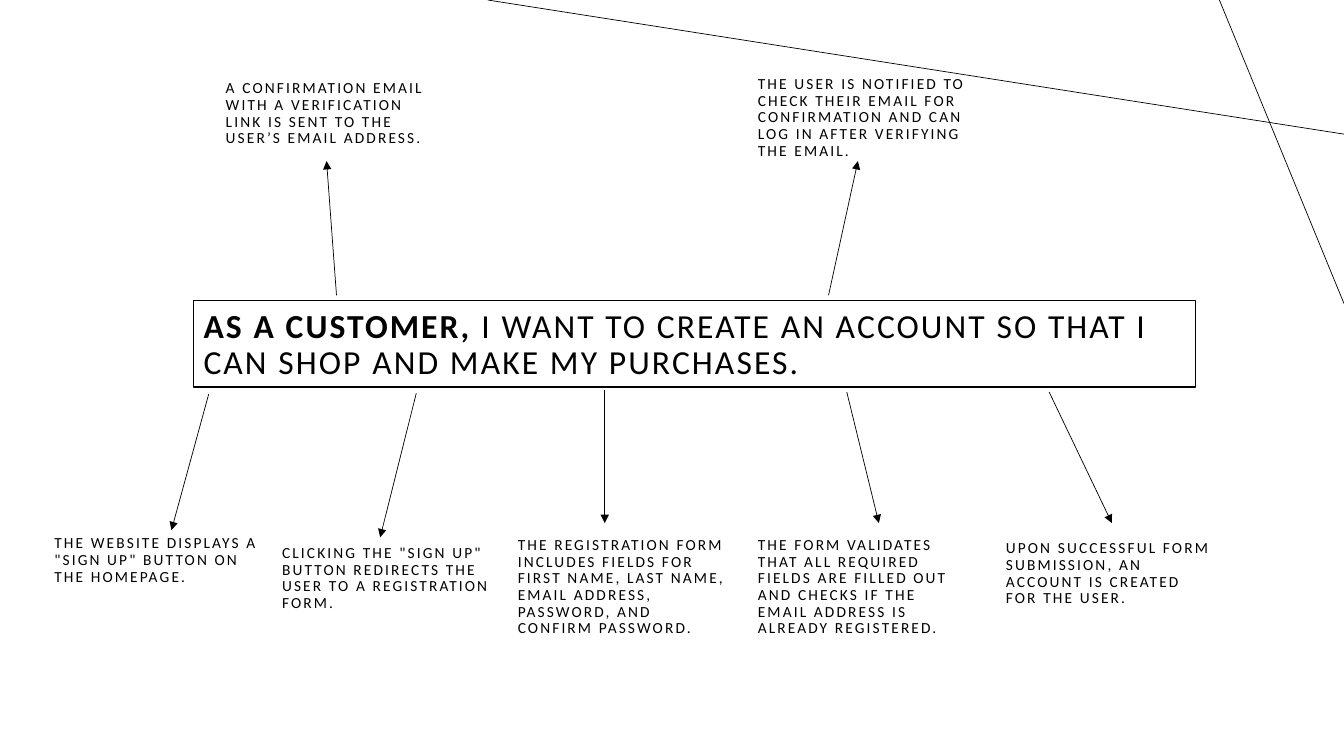
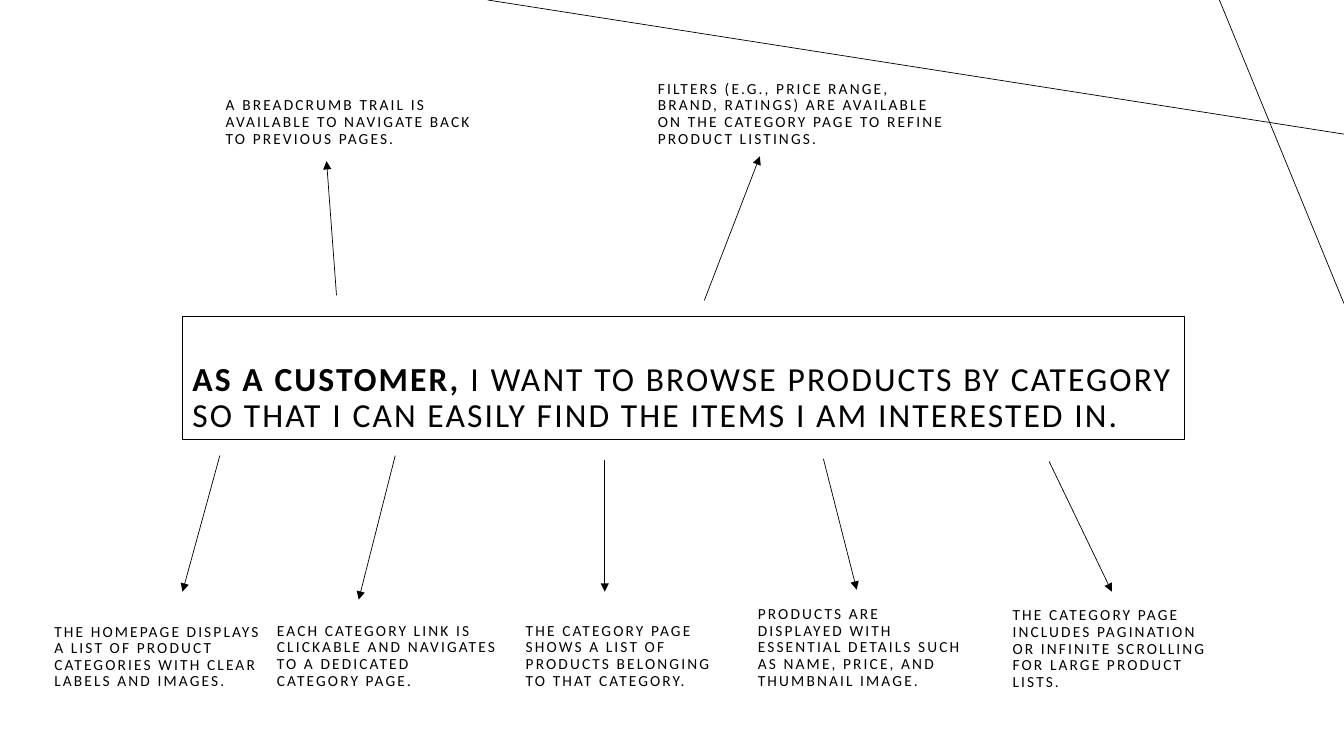
import pptx
import pptx.dml.color
import pptx.enum.shapes
import pptx.enum.text
import pptx.oxml.ns
import pptx.util
from lxml import etree

Cm = pptx.util.Cm
Pt = pptx.util.Pt

STORIES = [
    {
        "role": "AS A CUSTOMER, ",
        "wish": "I WANT TO CREATE AN ACCOUNT SO THAT I CAN SHOP AND MAKE MY PURCHASES.",
        "frame": (4.88, 7.57, 25.25, 2.18),
        "criteria": [
            ('THE WEBSITE DISPLAYS A "SIGN UP" BUTTON ON THE HOMEPAGE.',
             (1.12, 13.36, 5.84, 1.52), (5.26, 9.93, 4.32, 13.36)),
            ('CLICKING THE "SIGN UP" BUTTON REDIRECTS THE USER TO A REGISTRATION FORM.',
             (6.86, 13.56, 5.84, 1.98), (10.49, 9.91, 9.58, 13.54)),
            ("THE REGISTRATION FORM INCLUDES FIELDS FOR FIRST NAME, LAST NAME, "
             "EMAIL ADDRESS, PASSWORD, AND CONFIRM PASSWORD.",
             (12.8, 13.36, 5.84, 2.82), (15.24, 9.83, 15.24, 13.18)),
            ("THE FORM VALIDATES THAT ALL REQUIRED FIELDS ARE FILLED OUT AND CHECKS "
             "IF THE EMAIL ADDRESS IS ALREADY REGISTERED.",
             (18.85, 13.36, 5.84, 2.82), (21.34, 9.88, 22.15, 13.18)),
            ("UPON SUCCESSFUL FORM SUBMISSION, AN ACCOUNT IS CREATED FOR THE USER.",
             (25.1, 13.49, 5.84, 1.93), (26.44, 9.88, 28.02, 13.18)),
            ("A CONFIRMATION EMAIL WITH A VERIFICATION LINK IS SENT TO THE USER’S "
             "EMAIL ADDRESS.",
             (5.44, 1.85, 5.84, 1.98), (8.48, 7.44, 8.23, 4.06)),
            ("THE USER IS NOTIFIED TO CHECK THEIR EMAIL FOR CONFIRMATION AND CAN "
             "LOG IN AFTER VERIFYING THE EMAIL.",
             (18.85, 1.85, 5.84, 2.29), (20.88, 7.44, 21.62, 4.06)),
        ],
    },
    {
        "role": "AS A CUSTOMER, ",
        "wish": "I WANT TO BROWSE PRODUCTS BY CATEGORY SO THAT I CAN EASILY FIND "
                "THE ITEMS I AM INTERESTED IN.",
        "frame": (4.6, 7.98, 25.25, 3.1),
        "criteria": [
            ("THE HOMEPAGE DISPLAYS A LIST OF PRODUCT CATEGORIES WITH CLEAR LABELS "
             "AND IMAGES.",
             (1.12, 15.11, 5.84, 2.41), (5.54, 11.48, 4.6, 14.91)),
            ("EACH CATEGORY LINK IS CLICKABLE AND NAVIGATES TO A DEDICATED CATEGORY PAGE.",
             (6.73, 15.11, 6.07, 2.39), (9.96, 11.48, 9.04, 15.11)),
            ("THE CATEGORY PAGE SHOWS A LIST OF PRODUCTS BELONGING TO THAT CATEGORY.",
             (13, 15.11, 5.44, 2.39), (15.24, 11.58, 15.24, 14.91)),
            ("PRODUCTS ARE DISPLAYED WITH ESSENTIAL DETAILS SUCH AS NAME, PRICE, "
             "AND THUMBNAIL IMAGE.",
             (18.85, 15.11, 5.84, 2.39), (20.75, 11.56, 21.59, 14.86)),
            ("THE CATEGORY PAGE INCLUDES PAGINATION OR INFINITE SCROLLING FOR LARGE "
             "PRODUCT LISTS.",
             (25.27, 15.24, 5.84, 2.29), (26.44, 11.63, 28.02, 14.91)),
            ("A BREADCRUMB TRAIL IS AVAILABLE TO NAVIGATE BACK TO PREVIOUS PAGES.",
             (5.44, 1.55, 6.91, 2.29), (8.48, 7.44, 8.23, 4.06)),
            ("FILTERS (E.G., PRICE RANGE, BRAND, RATINGS) ARE AVAILABLE ON THE "
             "CATEGORY PAGE TO REFINE PRODUCT LISTINGS.",
             (16.33, 1.96, 7.92, 1.88), (17.75, 7.57, 19.15, 3.94)),
        ],
    },
]

PAGE_SIZE = (33.87, 19.05)
CORNER_LINES = [(33.87, 3.38, 12.29, 0), (30.73, 0, 33.87, 7.65)]

THEME = {
    "ink": pptx.dml.color.RGBColor.from_string("000000"),
    "paper": pptx.dml.color.RGBColor.from_string("FFFFFF"),
    "hairline": Pt(0.5),
    "frame_line": Pt(1),
    "letter_spacing": "150",
    "frame": {"word_wrap": True, "vertical_anchor": pptx.enum.text.MSO_ANCHOR.BOTTOM},
    "para": {"line_spacing": 0.9, "alignment": pptx.enum.text.PP_ALIGN.LEFT},
    "role": {"name": "Calibri", "size": Pt(24), "bold": True},
    "wish": {"name": "Calibri", "size": Pt(24), "bold": False},
    "criterion": {"name": "Calibri", "size": Pt(11), "bold": False},
}


def apply_format(target, style):
    for name, value in style.items():
        setattr(target, name, value)


def write_text(box, spans):
    apply_format(box.text_frame, THEME["frame"])
    para = box.text_frame.paragraphs[0]
    apply_format(para, THEME["para"])
    for text, style in spans:
        span = para.add_run()
        span.text = text
        apply_format(span.font, THEME[style])
        span.font.color.rgb = THEME["ink"]
        span.font._element.set("spc", THEME["letter_spacing"])


def add_line(page, ends, arrow=False):
    line = page.shapes.add_connector(
        pptx.enum.shapes.MSO_CONNECTOR.STRAIGHT, *map(Cm, ends))
    line.line.color.rgb = THEME["ink"]
    line.line.width = THEME["hairline"]
    if arrow:
        etree.SubElement(line.line._get_or_add_ln(),
                         pptx.oxml.ns.qn("a:tailEnd"), type="triangle")
    etree.SubElement(line._element.spPr, pptx.oxml.ns.qn("a:effectLst"))


def add_story_title(page, story):
    box = page.shapes.add_shape(
        pptx.enum.shapes.MSO_SHAPE.RECTANGLE, *map(Cm, story["frame"]))
    box.shadow.inherit = False
    box.fill.solid()
    box.fill.fore_color.rgb = THEME["paper"]
    box.line.color.rgb = THEME["ink"]
    box.line.width = THEME["frame_line"]
    write_text(box, [(story[part], part) for part in ("role", "wish")])


def add_story_page(deck, story):
    page = deck.slides.add_slide(deck.slide_layouts[6])
    for ends in CORNER_LINES:
        add_line(page, ends)
    add_story_title(page, story)
    for text, area, arrow in story["criteria"]:
        add_line(page, arrow, arrow=True)
        write_text(page.shapes.add_textbox(*map(Cm, area)), [(text, "criterion")])


def main():
    deck = pptx.Presentation()
    deck.slide_width, deck.slide_height = map(Cm, PAGE_SIZE)
    for story in STORIES:
        add_story_page(deck, story)
    deck.save("out.pptx")


if __name__ == "__main__":
    main()
